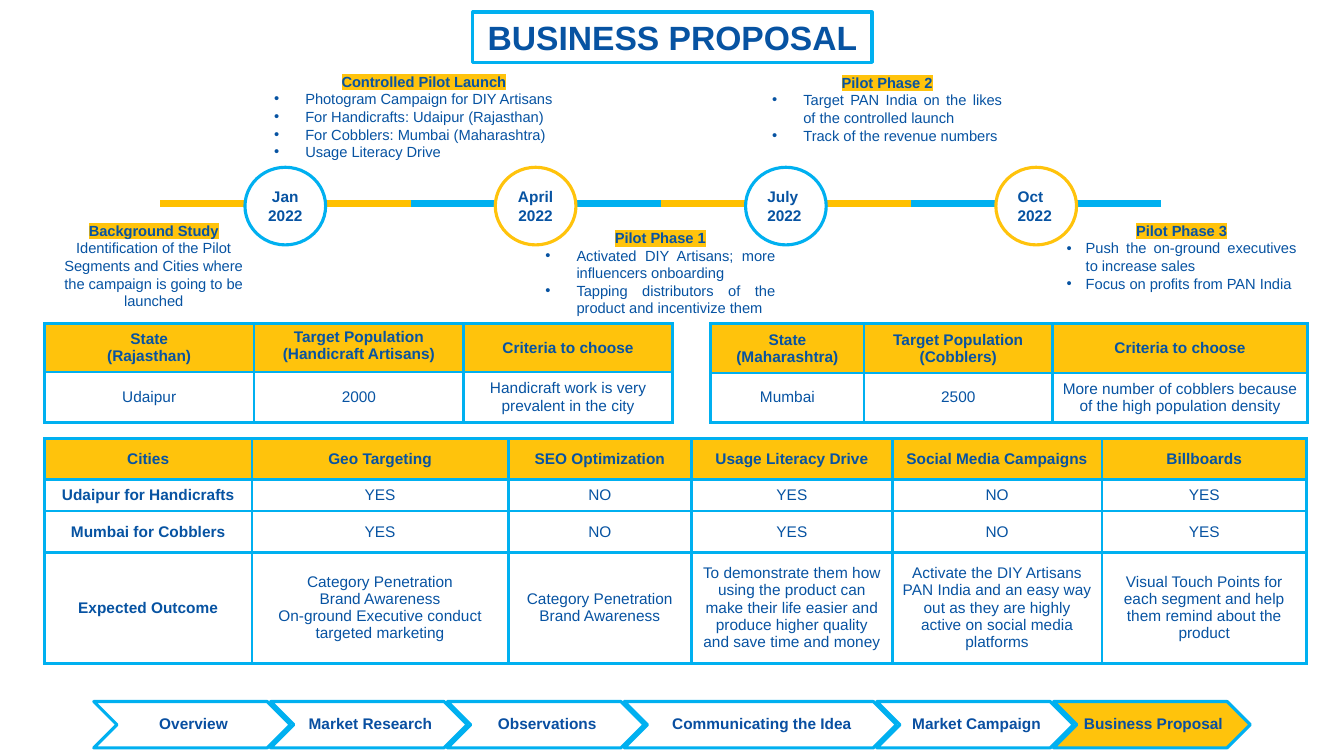
import dataclasses

import lxml.etree
import pptx
import pptx.dml.color
import pptx.enum.shapes
import pptx.enum.text
import pptx.oxml.ns
import pptx.util

Inches = pptx.util.Inches
Pt = pptx.util.Pt
ALIGN = pptx.enum.text.PP_ALIGN
ANCHOR = pptx.enum.text.MSO_ANCHOR
SHAPE = pptx.enum.shapes.MSO_SHAPE
qn = pptx.oxml.ns.qn


@dataclasses.dataclass(frozen=True)
class Theme:
    font: str = "Arial"
    text: str = "0753A2"
    step_text: str = "094FA1"
    blue: str = "00B0F0"
    yellow: str = "FFC30C"
    track_yellow: str = "FFC000"
    white: str = "FFFFFF"
    title_size: float = 24
    body_size: float = 11
    note_size: float = 10.5
    outline: float = 2.25
    track: float = 4.5


THEME = Theme()


def rgb(color):
    return pptx.dml.color.RGBColor.from_string(color)


def style_paragraph(paragraph, size, bold, align=ALIGN.CENTER, color=THEME.text):
    paragraph.alignment = align
    font = paragraph.font
    font.name = THEME.font
    font.size = Pt(size)
    font.bold = bold
    font.color.rgb = rgb(color)


def style_frame(frame, size, bold, align=ALIGN.CENTER, color=THEME.text):
    frame.word_wrap = True
    frame.vertical_anchor = ANCHOR.MIDDLE
    for paragraph in frame.paragraphs:
        style_paragraph(paragraph, size, bold, align, color)


def add_outlined(slide, kind, box, line, fill=None):
    shape = slide.shapes.add_shape(kind, *map(Inches, box))
    shape.shadow.inherit = False
    shape.line.color.rgb = rgb(line)
    shape.line.width = Pt(THEME.outline)
    if fill:
        shape.fill.solid()
        shape.fill.fore_color.rgb = rgb(fill)
    else:
        shape.fill.background()
    return shape


def add_title(slide, box, text):
    frame = add_outlined(slide, SHAPE.RECTANGLE, box, THEME.blue).text_frame
    frame.text = text
    style_frame(frame, THEME.title_size, True)


def add_steps(slide, box, steps, active):
    left, top, width, height = box
    tip = height / 2
    overlap = (sum(length for _, length in steps) - width) / (len(steps) - 1)
    for name, length in steps:
        fill = THEME.yellow if name == active else None
        add_outlined(slide, SHAPE.CHEVRON, (left, top, length, height), THEME.blue, fill)
        label_box = (left + tip, top, length - 2 * tip, height)
        frame = slide.shapes.add_textbox(*map(Inches, label_box)).text_frame
        frame.margin_left = Inches(0.05)
        frame.margin_right = frame.margin_top = frame.margin_bottom = Inches(0.02)
        frame.text = name
        style_frame(frame, THEME.body_size, True, color=THEME.step_text)
        frame.paragraphs[0].line_spacing = 0.9
        left += length - overlap


def add_timeline(slide, box, milestones):
    left, top, width, height = box
    segment = width / len(milestones)
    diameter = 0.8
    track_y = Inches(top + 0.36)
    lines, rings = (THEME.track_yellow, THEME.blue), (THEME.blue, THEME.yellow)
    for index, (label, align) in enumerate(milestones):
        start = left + index * segment
        line = slide.shapes.add_connector(
            pptx.enum.shapes.MSO_CONNECTOR.STRAIGHT,
            Inches(start), track_y, Inches(start + segment), track_y)
        line.line.color.rgb = rgb(lines[index % 2])
        line.line.width = Pt(THEME.track)
        lxml.etree.SubElement(line._element.spPr, qn("a:effectLst"))
        circle_box = (start + 0.84, top, diameter, height)
        circle = add_outlined(slide, SHAPE.OVAL, circle_box, rings[index % 2], THEME.white)
        circle.text_frame.text = label
        style_frame(circle.text_frame, THEME.body_size, True, align)


def add_bullet(paragraph, indent):
    properties = paragraph._p.get_or_add_pPr()
    properties.set("marL", str(Inches(indent)))
    properties.set("indent", str(-Inches(indent)))
    bullet_font = lxml.etree.SubElement(properties, qn("a:buFont"))
    bullet_font.set("typeface", THEME.font)
    lxml.etree.SubElement(properties, qn("a:buChar")).set("char", "•")


def add_note(slide, box, heading, items, indent):
    frame = slide.shapes.add_textbox(*map(Inches, box)).text_frame
    frame.word_wrap = True
    paragraph = frame.paragraphs[0]
    run = paragraph.add_run()
    run.text = heading
    highlight = lxml.etree.SubElement(run._r.get_or_add_rPr(), qn("a:highlight"))
    lxml.etree.SubElement(highlight, qn("a:srgbClr")).set("val", THEME.yellow)
    style_paragraph(paragraph, THEME.note_size, True)
    for item in items:
        paragraph = frame.add_paragraph()
        paragraph.text = item
        if indent:
            add_bullet(paragraph, indent)
        align = ALIGN.JUSTIFY if indent else ALIGN.CENTER
        style_paragraph(paragraph, THEME.note_size, False, align)


def add_borders(cell):
    properties = cell._tc.get_or_add_tcPr()
    for index, side in enumerate(("a:lnL", "a:lnR", "a:lnT", "a:lnB")):
        border = lxml.etree.Element(qn(side), w=str(Pt(THEME.outline)))
        fill = lxml.etree.SubElement(border, qn("a:solidFill"))
        lxml.etree.SubElement(fill, qn("a:srgbClr")).set("val", THEME.blue)
        properties.insert(index, border)


def add_grid(slide, position, widths, heights, rows, bold_first_column=False):
    size = (sum(widths), sum(heights))
    frame = slide.shapes.add_table(len(rows), len(widths), *map(Inches, position + size))
    table = frame.table
    table.first_row = table.horz_banding = False
    for column, width in zip(table.columns, widths):
        column.width = Inches(width)
    for row_index, (height, texts) in enumerate(zip(heights, rows)):
        table.rows[row_index].height = Inches(height)
        for column_index, text in enumerate(texts):
            cell = table.cell(row_index, column_index)
            cell.text = text
            cell.vertical_anchor = ANCHOR.MIDDLE
            header = row_index == 0
            bold = header or (bold_first_column and column_index == 0)
            for paragraph in cell.text_frame.paragraphs:
                style_paragraph(paragraph, THEME.body_size, bold)
            if header:
                cell.fill.solid()
                cell.fill.fore_color.rgb = rgb(THEME.yellow)
            else:
                cell.fill.background()
            add_borders(cell)
    return table


def main():
    presentation = pptx.Presentation()
    presentation.slide_width, presentation.slide_height = Inches(13.33), Inches(7.5)
    slide = presentation.slides.add_slide(presentation.slide_layouts[6])

    steps = [("Overview", 1.95), ("Market Research", 1.95), ("Observations", 1.95),
             ("Communicating the Idea", 2.7), ("Market Campaign", 1.95),
             ("Business Proposal", 1.95)]
    add_steps(slide, (0.93, 6.96, 11.47, 0.46), steps, "Business Proposal")
    add_timeline(slide, (1.59, 1.66, 9.93, 0.77), [
        ("Jan 2022", ALIGN.CENTER), ("April\v2022", ALIGN.CENTER),
        ("July\n2022", ALIGN.JUSTIFY), ("Oct\n2022", ALIGN.JUSTIFY)])

    notes = [
        ((5.31, 2.22, 2.48, 0.98), "Pilot Phase 1", [
            "Activated DIY Artisans; more influencers onboarding",
            "Tapping distributors of the product and incentivize them"], 0.31),
        ((7.56, 0.68, 2.48, 0.98), "Pilot Phase 2", [
            "Target PAN India on the likes of the controlled launch",
            "Track of the revenue numbers"], 0.31),
        ((10.48, 2.15, 2.48, 0.98), "Pilot Phase 3", [
            "Push the on-ground executives to increase sales",
            "Focus on profits from PAN India"], 0.19),
        ((0.44, 2.15, 2.17, 0.98), "Background Study", [
            "Identification of the Pilot Segments and Cities where "
            "the campaign is going to be launched"], 0),
        ((2.62, 0.67, 3.17, 0.98), "Controlled Pilot Launch", [
            "Photogram Campaign for DIY Artisans", "For Handicrafts: Udaipur (Rajasthan)",
            "For Cobblers: Mumbai (Maharashtra)", "Usage Literacy Drive"], 0.31)]
    for note in notes:
        add_note(slide, *note)

    rajasthan = add_grid(slide, (0.44, 3.21), (2.08, 2.08, 2.07), (0.48, 0.5), [
        ("State\n(Rajasthan)", "Target Population\n(Handicraft Artisans)", "Criteria to choose"),
        ("Udaipur", "2000", "Handicraft work is very prevalent in the city")])
    rajasthan.cell(0, 1).vertical_anchor = ANCHOR.TOP
    add_grid(slide, (7.05, 3.21), (1.52, 1.87, 2.53), (0.49, 0.49), [
        ("State\n(Maharashtra)", "Target Population\n(Cobblers)", "Criteria to choose"),
        ("Mumbai", "2500", "More number of cobblers because of the high population density")])
    answers = ("YES", "NO", "YES", "NO", "YES")
    add_grid(slide, (0.44, 4.35), (2.06, 2.54, 1.82, 1.99, 2.08, 2.03), (0.41, 0.31, 0.41, 1.1), [
        ("Cities", "Geo Targeting", "SEO Optimization", "Usage Literacy Drive",
         "Social Media Campaigns", "Billboards"),
        ("Udaipur for Handicrafts", *answers), ("Mumbai for Cobblers", *answers),
        ("Expected Outcome",
         "Category Penetration\nBrand Awareness\nOn-ground Executive conduct targeted marketing",
         "Category Penetration\nBrand Awareness",
         "To demonstrate them how using the product can make their life easier "
         "and produce higher quality and save time and money",
         "Activate the DIY Artisans PAN India and an easy way out as they are "
         "highly active on social media platforms",
         "Visual Touch Points for each segment and help them remind about the product")],
        bold_first_column=True)

    add_title(slide, (4.69, 0.12, 3.96, 0.5), "BUSINESS PROPOSAL")
    presentation.save("out.pptx")


if __name__ == "__main__":
    main()
